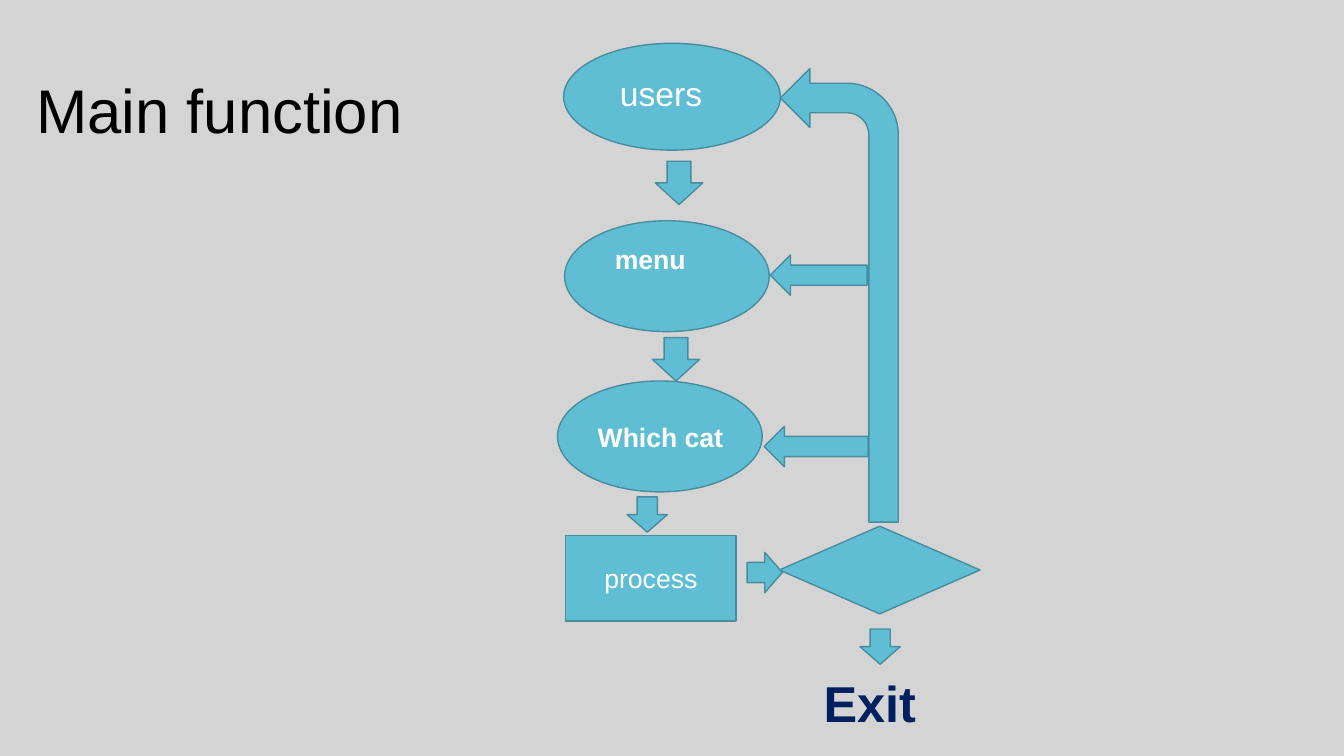
from typing import NamedTuple

from pptx import Presentation
from pptx.dml.color import RGBColor
from pptx.enum.shapes import MSO_SHAPE as Preset
from pptx.enum.text import MSO_ANCHOR as Anchor, MSO_AUTO_SIZE as AutoSize, PP_ALIGN as Align
from pptx.shapes.autoshape import Shape
from pptx.slide import Slide
from pptx.util import Inches, Pt

BACKGROUND, TEAL, EDGE = "D4D4D4", "60BED4", "478D9D"
WHITE, BLACK, NAVY = "FFFFFF", "000000", "002060"


class Box(NamedTuple):
    left: float
    top: float
    width: float
    height: float


class Node(NamedTuple):
    preset: Preset
    box: Box


class Label(NamedTuple):
    text: str
    box: Box
    size: float
    color: str = WHITE
    bold: bool = False


TITLE = Label("Main function", Box(0.26, 0.66, 4.61, 0.84), 44, BLACK)
PROCESS = Label("process", Box(5.61, 5.31, 1.69, 0.85), 19)

STEPS = [
    Node(Preset.OVAL, Box(5.59, 0.43, 2.15, 1.06)),
    Node(Preset.OVAL, Box(5.6, 2.19, 2.03, 1.1)),
    Node(Preset.OVAL, Box(5.53, 3.78, 2.03, 1.1)),
    Node(Preset.DIAMOND, Box(7.73, 5.22, 1.99, 0.87)),
]
ARROWS = [
    Node(Preset.DOWN_ARROW, Box(6.5, 1.6, 0.47, 0.43)),
    Node(Preset.DOWN_ARROW, Box(6.47, 3.35, 0.47, 0.43)),
    Node(Preset.DOWN_ARROW, Box(6.22, 4.93, 0.4, 0.35)),
    Node(Preset.RIGHT_ARROW, Box(7.41, 5.48, 0.35, 0.4)),
    Node(Preset.DOWN_ARROW, Box(8.53, 6.24, 0.4, 0.35)),
    Node(Preset.LEFT_ARROW, Box(7.64, 2.53, 0.96, 0.4)),
    Node(Preset.LEFT_ARROW, Box(7.58, 4.23, 1.03, 0.4)),
]
RETURN_ARROW = Node(Preset.BENT_ARROW, Box(7.74, 0.68, 1.17, 4.5))
LABELS = [
    Label("users", Box(6.05, 0.67, 2.49, 0.5), 24),
    Label("menu", Box(6, 2.36, 1.51, 0.42), 19, bold=True),
    Label("Which cat", Box(5.83, 4.13, 1.51, 0.42), 19, bold=True),
    Label("Exit", Box(8.07, 6.62, 2.68, 0.71), 36, NAVY, True),
]


def rgb(color: str) -> RGBColor:
    return RGBColor.from_string(color)


def inches(box: Box) -> list[int]:
    return [Inches(length) for length in box]


def write(shape: Shape, label: Label, align: Align = Align.LEFT, anchor: Anchor = Anchor.TOP) -> None:
    frame = shape.text_frame
    frame.word_wrap = True
    frame.vertical_anchor = anchor
    paragraph = frame.paragraphs[0]
    paragraph.alignment = align
    run = paragraph.add_run()
    run.text = label.text
    run.font.name = "Arial"
    run.font.size = Pt(label.size)
    run.font.bold = label.bold
    run.font.color.rgb = rgb(label.color)


def add_node(slide: Slide, node: Node) -> Shape:
    shape = slide.shapes.add_shape(node.preset, *inches(node.box))
    shape.shadow.inherit = False
    shape.fill.solid()
    shape.fill.fore_color.rgb = rgb(TEAL)
    shape.line.color.rgb = rgb(EDGE)
    shape.line.width = Pt(1)
    return shape


def add_label(slide: Slide, label: Label) -> None:
    textbox = slide.shapes.add_textbox(*inches(label.box))
    write(textbox, label)
    textbox.text_frame.auto_size = AutoSize.SHAPE_TO_FIT_TEXT


def add_title(slide: Slide) -> None:
    title = slide.shapes.title
    title.left, title.top, title.width, title.height = inches(TITLE.box)
    write(title, TITLE)
    paragraph = title.text_frame.paragraphs[0]
    paragraph.line_spacing = 1.0
    paragraph.space_before = Pt(0)
    title.text_frame.auto_size = AutoSize.SHAPE_TO_FIT_TEXT


def main() -> None:
    deck = Presentation()
    deck.slide_width, deck.slide_height = Inches(13.33), Inches(7.5)
    slide = deck.slides.add_slide(deck.slide_layouts.get_by_name("Title Only"))
    slide.background.fill.solid()
    slide.background.fill.fore_color.rgb = rgb(BACKGROUND)

    add_title(slide)
    for node in STEPS + ARROWS:
        add_node(slide, node)
    process = add_node(slide, Node(Preset.RECTANGLE, PROCESS.box))
    write(process, PROCESS, Align.CENTER, Anchor.MIDDLE)
    return_arrow = add_node(slide, RETURN_ARROW)
    return_arrow._element.spPr.xfrm.set("flipH", "1")
    for label in LABELS:
        add_label(slide, label)

    deck.save("out.pptx")


if __name__ == "__main__":
    main()
